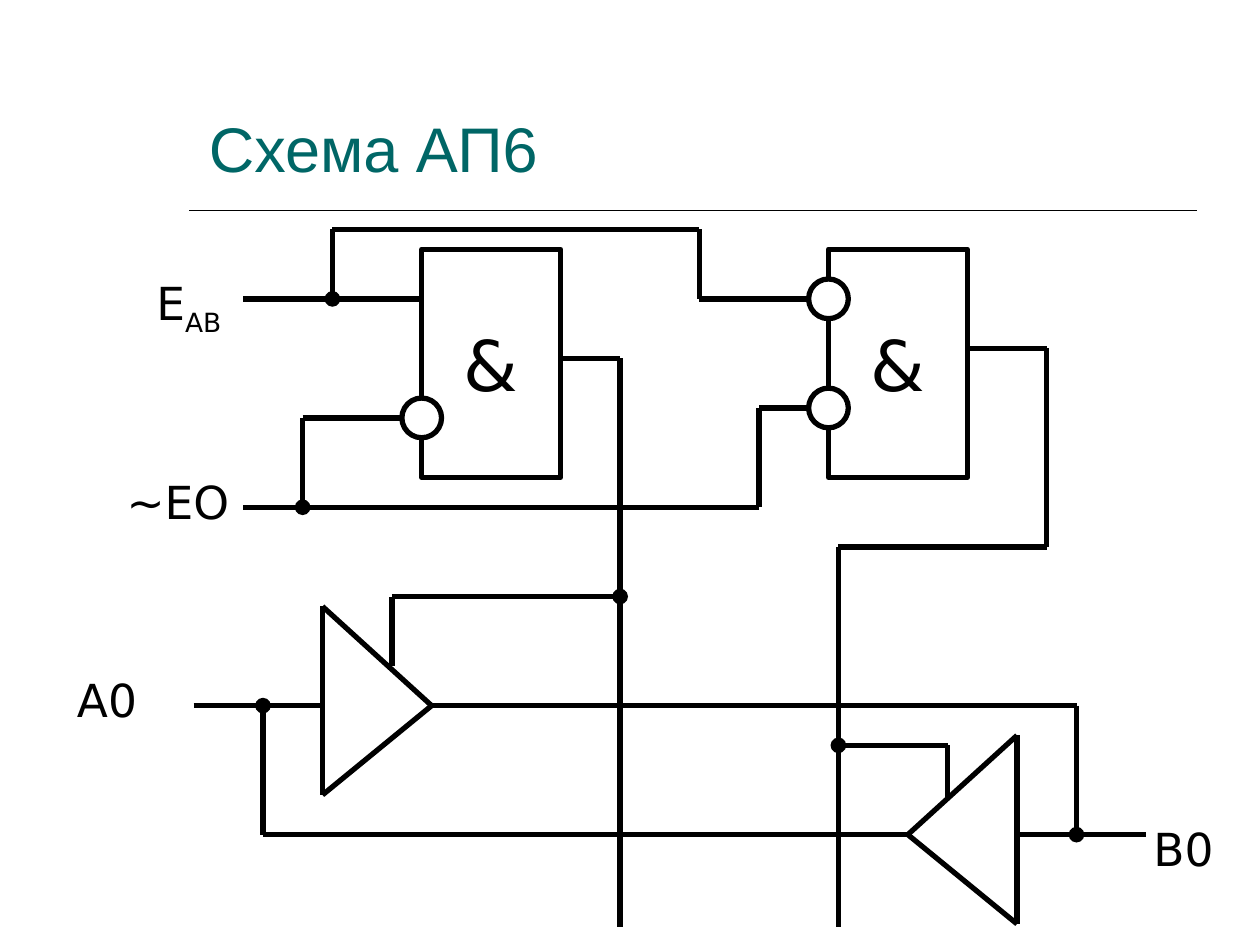
from typing import NamedTuple

from lxml.etree import SubElement
from pptx import Presentation
from pptx.dml.color import RGBColor
from pptx.enum.shapes import MSO_CONNECTOR, MSO_SHAPE
from pptx.enum.text import MSO_ANCHOR, PP_ALIGN
from pptx.oxml.ns import qn
from pptx.util import Inches, Pt

BLACK = RGBColor(0, 0, 0)
WHITE = RGBColor(255, 255, 255)
TEAL = RGBColor(0, 0x66, 0x66)
SANS = "DejaVu Sans"

CELLS = 12.7  # grid cells per inch: a 2 mm grid
LEFT, TOP = 0.04, 0.01  # grid origin, inches
END = 93.35  # row where the buses leave the drawing
GATE_W, GATE_H = 14, 23
BUBBLE = 4


class Point(NamedTuple):
    col: float
    row: float


class Wire(NamedTuple):
    points: list[tuple[float, float]]
    dot: bool = False  # junction dot at the last point


class Label(NamedTuple):
    text: str
    at: Point
    width: float = 15
    sub: str = ""


GATES = [Point(42, 25), Point(83, 25)]
BUBBLES = [Point(42, 42), Point(83, 30), Point(83, 41)]
LABELS = [
    Label("E", Point(14, 27), sub="AB"),
    Label("~EO", Point(11, 47)),
    Label("A0", Point(6, 67)),
    Label("B0", Point(114.5, 82), 12),
]
WIRES = [
    # enable inputs
    Wire([(24, 30), (42, 30)]),
    Wire([(83, 30), (70, 30), (70, 23), (33, 23), (33, 30)], True),
    Wire([(24, 51), (30, 51), (30, 42), (42, 42)]),
    Wire([(81, 41), (76, 41), (76, 51), (30, 51)], True),
    # gate outputs down to the buffers
    Wire([(56, 36), (62, 36), (62, END)]),
    Wire([(39, 67), (39, 60), (62, 60)], True),
    Wire([(97, 35), (105, 35), (105, 55), (84, 55), (84, END)]),
    Wire([(95, 80.4), (95, 75), (84, 75)], True),
    # data lines
    Wire([(19, 71), (32, 71)]),
    Wire([(43, 71), (108, 71), (108, 84)], True),
    Wire([(102, 84), (115, 84)]),
    Wire([(91, 84), (26, 84), (26, 71)], True),
    # buffer triangles
    Wire([(32, 80), (32, 61), (43, 71), (32, 80)]),
    Wire([(102, 93), (102, 74), (91, 84), (102, 93)]),
]


def x(col: float) -> int:
    return Inches(LEFT + col / CELLS)


def y(row: float) -> int:
    return Inches(TOP + row / CELLS)


def size(cells: float) -> int:
    return Inches(cells / CELLS)


def style(font, name: str, points: float, color: RGBColor) -> None:
    font.name, font.size = name, Pt(points)
    font.color.rgb = color


def line(slide, ends: tuple, width: float, dot: bool = False) -> None:
    link = slide.shapes.add_connector(MSO_CONNECTOR.STRAIGHT, *ends)
    link.line.color.rgb = BLACK
    link.line.width = Pt(width)
    if dot:
        SubElement(link.line._get_or_add_ln(), qn("a:tailEnd"), type="oval")
    SubElement(link._element.spPr, qn("a:effectLst"))


def draw_wire(slide, wire: Wire) -> None:
    last = len(wire.points) - 2
    for i, (a, b) in enumerate(zip(wire.points, wire.points[1:])):
        ends = (x(a[0]), y(a[1]), x(b[0]), y(b[1]))
        line(slide, ends, 3, wire.dot and i == last)


def draw_shape(slide, kind: MSO_SHAPE, at: Point, w: float, h: float):
    shape = slide.shapes.add_shape(kind, x(at.col), y(at.row), size(w), size(h))
    shape.shadow.inherit = False
    shape.fill.solid()
    shape.fill.fore_color.rgb = WHITE
    shape.line.color.rgb = BLACK
    shape.line.width = Pt(3)
    return shape


def draw_gate(slide, at: Point) -> None:
    frame = draw_shape(slide, MSO_SHAPE.RECTANGLE, at, GATE_W, GATE_H).text_frame
    frame.text = "&"
    frame.word_wrap = False
    frame.vertical_anchor = MSO_ANCHOR.MIDDLE
    frame.paragraphs[0].alignment = PP_ALIGN.CENTER
    style(frame.paragraphs[0].runs[0].font, SANS, 40, BLACK)


def draw_bubble(slide, mid: Point) -> None:
    at = Point(mid.col - BUBBLE / 2, mid.row - BUBBLE / 2)
    draw_shape(slide, MSO_SHAPE.OVAL, at, BUBBLE, BUBBLE)


def draw_label(slide, label: Label) -> None:
    box = slide.shapes.add_textbox(
        x(label.at.col), y(label.at.row), size(label.width), size(7))
    frame = box.text_frame
    frame.word_wrap = True
    frame.text = label.text
    para = frame.paragraphs[0]
    if label.sub:
        run = para.add_run()
        run.text = label.sub
        run.font._element.set("baseline", "-25000")
    for run in para.runs:
        style(run.font, SANS, 26, BLACK)


def draw_title(slide, text: str) -> None:
    box = slide.shapes.add_textbox(
        Inches(1.56), Inches(0.39), Inches(7.88), Inches(1.13))
    frame = box.text_frame
    frame.word_wrap = True
    frame.vertical_anchor = MSO_ANCHOR.BOTTOM
    frame.text = text
    style(frame.paragraphs[0].runs[0].font, "Arial", 36, TEAL)
    rule = Inches(1.67)
    line(slide, (Inches(1.5), rule, Inches(9.5), rule), 1)


def main() -> None:
    deck = Presentation()
    deck.slide_width, deck.slide_height = Inches(10), Inches(7.5)
    slide = deck.slides.add_slide(deck.slide_layouts[6])
    draw_title(slide, "Схема АП6")
    for draw, items in (
        (draw_gate, GATES),
        (draw_wire, WIRES),
        (draw_bubble, BUBBLES),
        (draw_label, LABELS),
    ):
        for item in items:
            draw(slide, item)
    deck.save("out.pptx")


if __name__ == "__main__":
    main()
